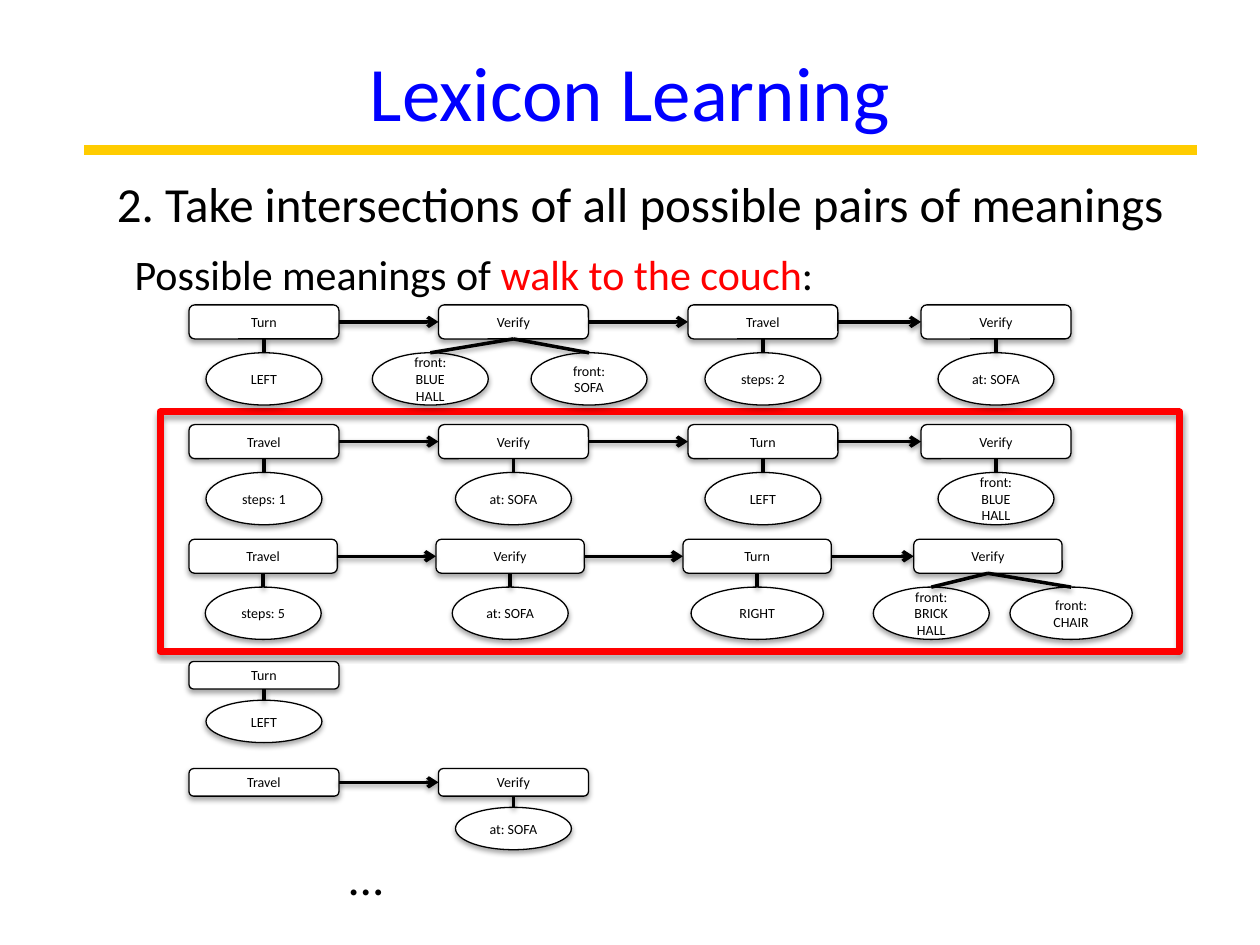
from dataclasses import dataclass

from lxml.etree import SubElement
from pptx import Presentation
from pptx.dml.color import RGBColor
from pptx.enum.shapes import MSO_CONNECTOR, MSO_SHAPE
from pptx.enum.text import MSO_ANCHOR, MSO_AUTO_SIZE, PP_ALIGN
from pptx.oxml.ns import qn
from pptx.util import Inches, Pt


@dataclass(frozen=True)
class Theme:
    font: str = "Calibri"
    black: RGBColor = RGBColor(0x00, 0x00, 0x00)
    white: RGBColor = RGBColor(0xFF, 0xFF, 0xFF)
    title: RGBColor = RGBColor(0x00, 0x00, 0xFF)
    red: RGBColor = RGBColor(0xFF, 0x00, 0x00)
    rule: RGBColor = RGBColor(0xFF, 0xCC, 0x00)
    title_size: int = 44
    body_size: int = 28
    phrase_size: int = 24
    label_size: int = 8


@dataclass(frozen=True)
class Argument:
    label: str
    shift: float = 0
    width: float = 0.92


@dataclass(frozen=True)
class Action:
    label: str
    arguments: tuple = ()


THEME = Theme()
COLUMNS = (0, 1.98, 3.96, 5.81)
ACTION_WIDTH, ACTION_HEIGHT = 1.19, 0.27
ARGUMENT_DROP, ARGUMENT_HEIGHT = 0.38, 0.415
CHAIN_LEFT = 1.5
AT_SOFA = (Argument("at: SOFA"),)
LEFT = (Argument("LEFT"),)


def add_run(paragraph, text, size, color=THEME.black):
    run = paragraph.add_run()
    run.text = text
    run.font.name = THEME.font
    run.font.size = Pt(size)
    run.font.color.rgb = color


def add_text(slide, box, runs, size, align=PP_ALIGN.LEFT):
    """Place one paragraph made of (text, colour) runs; return its frame."""
    frame = slide.shapes.add_textbox(*map(Inches, box)).text_frame
    frame.word_wrap = True
    frame.auto_size = MSO_AUTO_SIZE.SHAPE_TO_FIT_TEXT
    paragraph = frame.paragraphs[0]
    paragraph.alignment = align
    for text, color in runs:
        add_run(paragraph, text, size, color)
    return frame


def set_line(part, color, width):
    part.line.color.rgb = color
    part.line.width = Pt(width)


def add_effects(part, opacity=0, distance=0):
    """Replace the themed effects with a soft drop shadow, or with none."""
    effects = SubElement(part._element.spPr, qn("a:effectLst"))
    if opacity:
        shadow = SubElement(effects, qn("a:outerShdw"), blurRad=str(Pt(3.1)),
                            dist=str(Pt(distance)), dir="5400000", rotWithShape="0")
        color = SubElement(shadow, qn("a:srgbClr"), val=str(THEME.black))
        SubElement(color, qn("a:alpha"), val=str(opacity * 1000))


def add_node(shapes, kind, box, label):
    node = shapes.add_shape(kind, *map(Inches, box))
    node.fill.solid()
    node.fill.fore_color.rgb = THEME.white
    set_line(node, THEME.black, 0.75)
    add_effects(node, 35, 1.8)
    frame = node.text_frame
    frame.word_wrap = True
    frame.vertical_anchor = MSO_ANCHOR.MIDDLE
    for index, text in enumerate(label.split("\n")):
        paragraph = frame.add_paragraph() if index else frame.paragraphs[0]
        paragraph.alignment = PP_ALIGN.CENTER
        add_run(paragraph, text, THEME.label_size)
    return node


def join(shapes, start, start_site, end, end_site, arrow=False):
    link = shapes.add_connector(MSO_CONNECTOR.STRAIGHT, 0, 0, 0, 0)
    link.begin_connect(start, start_site)
    link.end_connect(end, end_site)
    set_line(link, THEME.black, 2)
    if arrow:
        SubElement(link.line._get_or_add_ln(), qn("a:tailEnd"), type="arrow")
    add_effects(link, 38, 1.6)


def add_chain(slide, top, actions, across=1, down=1):
    """Draw actions left to right, each with its arguments hanging below."""
    shapes = slide.shapes.add_group_shape().shapes
    previous = None
    width = ACTION_WIDTH * across
    for column, action in zip(COLUMNS, actions):
        left = CHAIN_LEFT + column * across
        node = add_node(shapes, MSO_SHAPE.ROUNDED_RECTANGLE,
                        (left, top, width, ACTION_HEIGHT * down), action.label)
        if previous is not None:
            join(shapes, previous, 3, node, 1, arrow=True)
        for argument in action.arguments:
            argument_left = left + width / 2 + argument.shift - argument.width / 2
            leaf = add_node(shapes, MSO_SHAPE.OVAL,
                            (argument_left, top + ARGUMENT_DROP * down,
                             argument.width, ARGUMENT_HEIGHT * down), argument.label)
            join(shapes, node, 2, leaf, 0)
        previous = node


def add_heading(slide, left, top, width, height):
    frame = add_text(slide, (left, top, width, height),
                     [("Lexicon Learning", THEME.title)],
                     THEME.title_size, PP_ALIGN.CENTER)
    frame.auto_size = MSO_AUTO_SIZE.NONE
    frame.vertical_anchor = MSO_ANCHOR.MIDDLE
    bottom = Inches(top + height)
    rule = slide.shapes.add_connector(MSO_CONNECTOR.STRAIGHT, Inches(0.67), bottom,
                                      Inches(9.5), bottom)
    set_line(rule, THEME.rule, 6)
    add_effects(rule)


def add_highlight(slide, box):
    highlight = slide.shapes.add_shape(MSO_SHAPE.RECTANGLE, *map(Inches, box))
    highlight.fill.background()
    set_line(highlight, THEME.red, 4)
    add_effects(highlight, 35, 1.8)


def add_meanings(slide):
    blue_hall = "front: BLUE\nHALL"
    add_highlight(slide, (1.27, 3.27, 8.09, 1.9))
    add_chain(slide, 2.42, (
        Action("Turn", LEFT),
        Action("Verify", (Argument(blue_hall, -0.66), Argument("front: SOFA", 0.6))),
        Action("Travel", (Argument("steps: 2"),)),
        Action("Verify", AT_SOFA)))
    add_chain(slide, 3.37, (
        Action("Travel", (Argument("steps: 1"),)),
        Action("Verify", AT_SOFA),
        Action("Turn", LEFT),
        Action("Verify", (Argument(blue_hall),))))
    add_chain(slide, 4.28, (
        Action("Travel", (Argument("steps: 5"),)),
        Action("Verify", AT_SOFA),
        Action("Turn", (Argument("RIGHT", width=1.05),)),
        Action("Verify", (Argument("front: BRICK HALL", -0.45),
                          Argument("front: CHAIR", 0.66, 0.97)))), across=0.99)
    add_chain(slide, 5.25, (Action("Turn", LEFT),), down=0.81)
    add_chain(slide, 6.1, (Action("Travel"), Action("Verify", AT_SOFA)), down=0.81)


def main():
    presentation = Presentation()
    presentation.slide_width, presentation.slide_height = Inches(10), Inches(7.5)
    slide = presentation.slides.add_slide(presentation.slide_layouts[6])
    add_heading(slide, 0.5, 0.25, 9, 0.94)
    add_text(slide, (0.83, 1.33, 8.53, 0.57),
             [("2. Take intersections of all possible pairs of meanings", THEME.black)],
             THEME.body_size)
    add_text(slide, (0.97, 1.92, 6.78, 0.5),
             [("Possible meanings of ", THEME.black),
              ("walk to the couch", THEME.red), (":", THEME.black)],
             THEME.phrase_size)
    add_meanings(slide)
    add_text(slide, (1.5, 6.67, 2.81, 0.57), [("…", THEME.black)],
             THEME.body_size, PP_ALIGN.CENTER)
    presentation.save("out.pptx")


if __name__ == "__main__":
    main()
